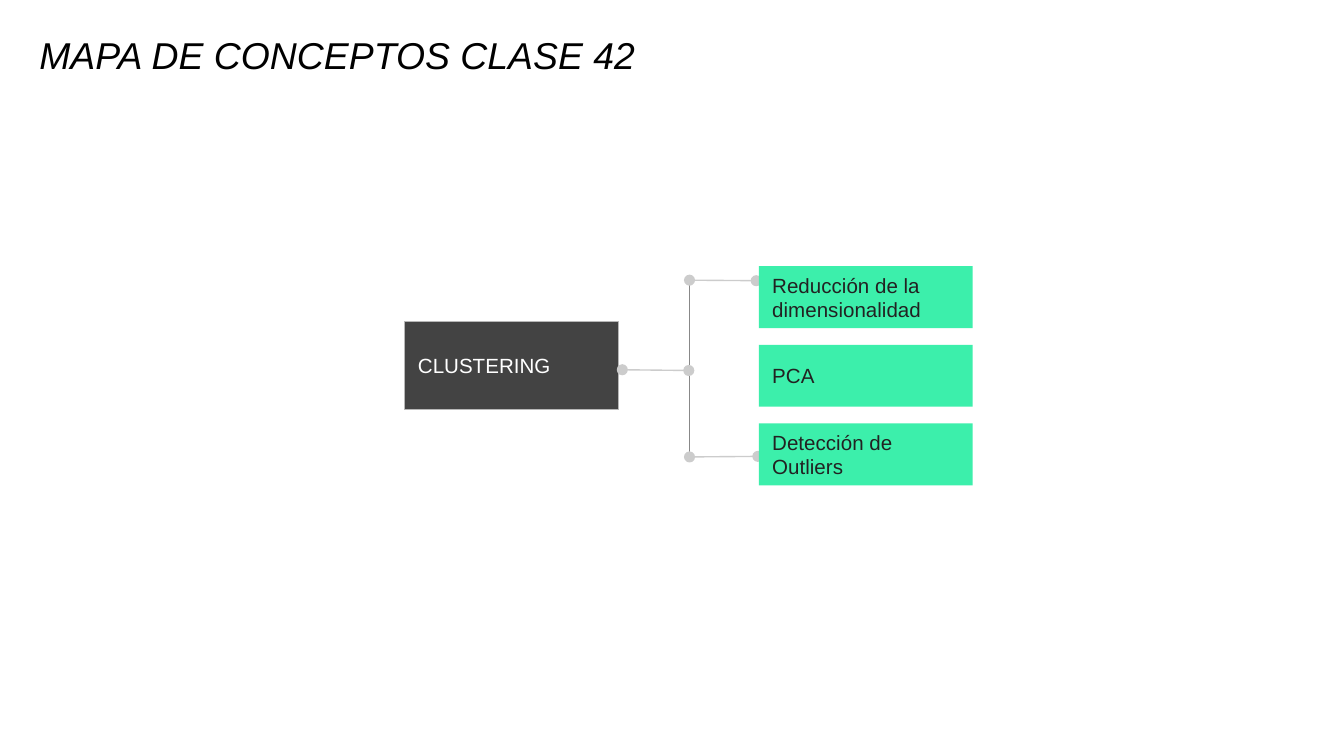
from lxml.etree import SubElement
from pptx import Presentation
from pptx.dml.color import RGBColor
from pptx.enum.shapes import MSO_CONNECTOR, MSO_SHAPE
from pptx.enum.text import MSO_ANCHOR, MSO_AUTO_SIZE, PP_ALIGN
from pptx.oxml.ns import qn
from pptx.util import Pt

COLORS = {
    "title": "000000",
    "topic": "434343",
    "topic_border": "B7B7B7",
    "topic_text": "FFFFFF",
    "concept": "3CEFAB",
    "concept_text": "222222",
    "trunk": "888888",
    "branch": "CCCCCC",
}


class ConceptMap:
    """Draws the parts of a concept map on one slide in a shared style."""

    font_name = "Arial"
    inset = 7.2
    line_width = 0.75

    def __init__(self, slide):
        self.slide = slide

    def color(self, key):
        return RGBColor.from_string(COLORS[key])

    def label(self, shape, text, size, color, anchor, italic=False):
        frame = shape.text_frame
        frame.text = text
        frame.word_wrap = True
        frame.auto_size = MSO_AUTO_SIZE.NONE
        frame.vertical_anchor = anchor
        frame.margin_left = frame.margin_right = Pt(self.inset)
        frame.margin_top = frame.margin_bottom = Pt(self.inset)
        paragraph = frame.paragraphs[0]
        paragraph.alignment = PP_ALIGN.LEFT
        paragraph.font.name = self.font_name
        paragraph.font.size = Pt(size)
        paragraph.font.italic = italic
        paragraph.font.color.rgb = self.color(color)

    def title(self, text, left, top, width, height):
        heading = self.slide.shapes.title
        heading.left, heading.top = Pt(left), Pt(top)
        heading.width, heading.height = Pt(width), Pt(height)
        self.label(heading, text, 20, "title", MSO_ANCHOR.BOTTOM, italic=True)

    def box(self, text, left, top, width, height, fill, text_color, border=None):
        box = self.slide.shapes.add_shape(
            MSO_SHAPE.RECTANGLE, Pt(left), Pt(top), Pt(width), Pt(height))
        box.shadow.inherit = False
        box.fill.solid()
        box.fill.fore_color.rgb = self.color(fill)
        if border:
            box.line.color.rgb = self.color(border)
            box.line.width = Pt(self.line_width)
        else:
            box.line.fill.background()
        self.label(box, text, 11, text_color, MSO_ANCHOR.MIDDLE)

    def line(self, start, end, color, dots=False):
        link = self.slide.shapes.add_connector(
            MSO_CONNECTOR.STRAIGHT, *map(Pt, (*start, *end)))
        link.line.color.rgb = self.color(color)
        link.line.width = Pt(self.line_width)
        if dots:
            outline = link.line._get_or_add_ln()
            for end_tag in ("a:headEnd", "a:tailEnd"):
                SubElement(outline, qn(end_tag), type="oval")
        SubElement(link._element.spPr, qn("a:effectLst"))


def main():
    presentation = Presentation()
    presentation.slide_width, presentation.slide_height = Pt(720), Pt(405)
    concept_map = ConceptMap(
        presentation.slides.add_slide(presentation.slide_layouts[5]))

    concept_map.title("MAPA DE CONCEPTOS CLASE 42", 13.9, 15.6, 594.7, 33.1)

    box_width = 114.5
    concept_map.box("CLUSTERING", 216.8, 172.2, box_width, 47.3,
                    "topic", "topic_text", "topic_border")

    trunk_x = 369.4
    concept_map.line((trunk_x, 149.8), (trunk_x, 244.2), "trunk")
    for start, end in (
        ((trunk_x, 150.1), (405.1, 150.4)),
        ((trunk_x, 244.8), (406, 244.5)),
        ((333.4, 198.1), (369, 198.5)),
    ):
        concept_map.line(start, end, "branch", dots=True)

    concepts = ("Reducción de la dimensionalidad", "PCA", "Detección de Outliers")
    first_top, pitch = 142.6, 42.1
    for row, concept in enumerate(concepts):
        concept_map.box(concept, 406.6, first_top + row * pitch, box_width, 33.2,
                        "concept", "concept_text")

    presentation.save("out.pptx")


if __name__ == "__main__":
    main()
